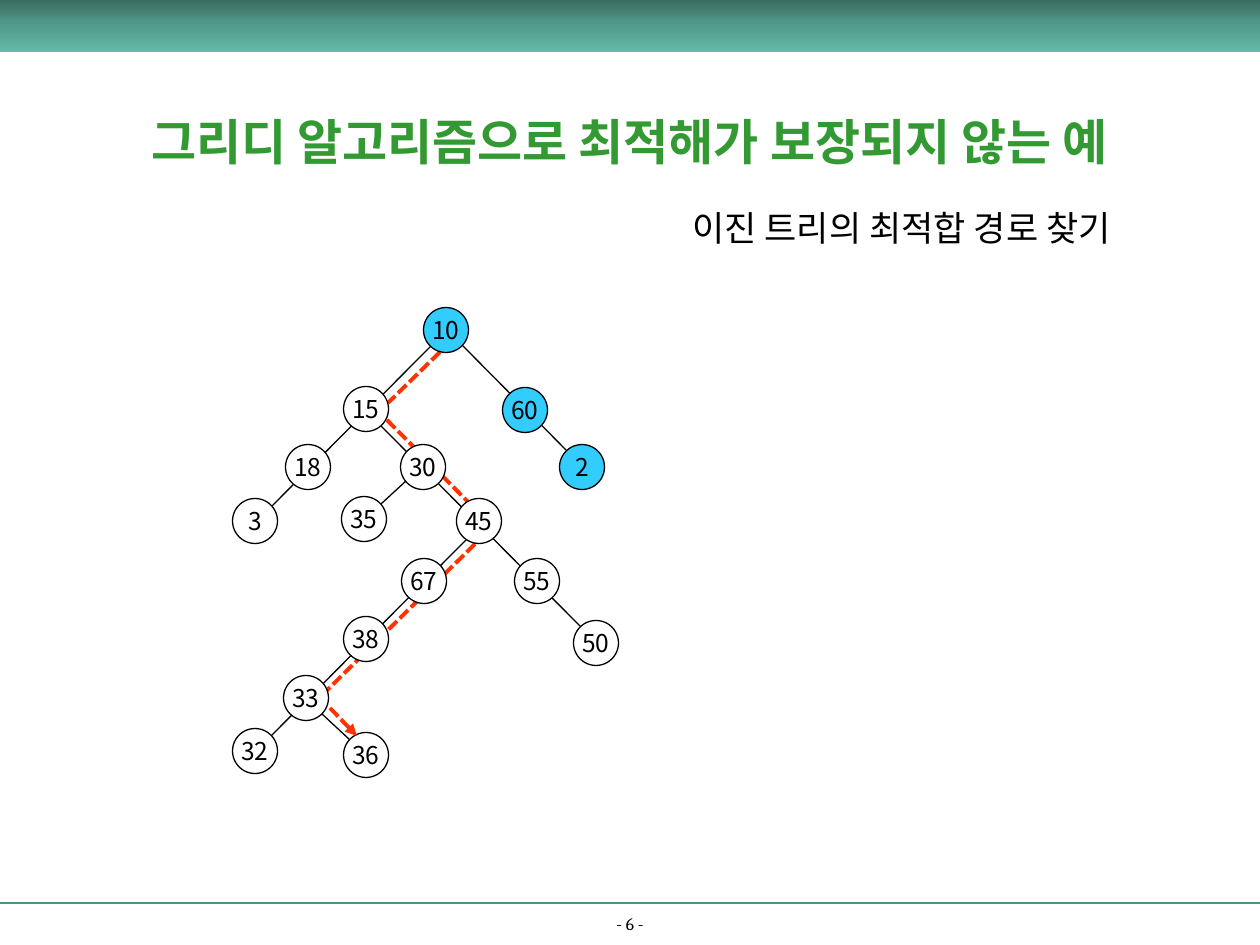
from copy import deepcopy
from dataclasses import dataclass
from typing import Any

from pptx import Presentation
from pptx.dml.color import RGBColor
from pptx.enum.dml import MSO_LINE
from pptx.enum.shapes import MSO_CONNECTOR, MSO_SHAPE
from pptx.enum.text import MSO_ANCHOR, PP_ALIGN
from pptx.oxml.ns import qn
from pptx.oxml.xmlchemy import OxmlElement
from pptx.util import Emu, Pt


@dataclass(frozen=True)
class Theme:
    serif: str = "Cambria"
    sans: str = "Noto Sans CJK KR"
    ink: str = "000000"
    white: str = "FFFFFF"
    title: str = "339933"
    rule: str = "4C9282"
    best: str = "33CCFF"
    path_ink: str = "FF3300"
    band: tuple = ((0, "3A6D62"), (0.5, "539C8B"), (1, "62B9A5"))
    title_size: int = 28
    sub_size: int = 20
    node_size: int = 14
    foot_size: int = 10
    thin: float = 0.75
    mid: float = 1.5
    thick: float = 2.25


@dataclass(frozen=True)
class Node:
    label: str
    x: int
    y: int
    best: bool = False


@dataclass(frozen=True)
class Line:
    x1: int
    y1: int
    x2: int
    y2: int


THEME = Theme()
DPI = 126
WIDE, HIGH = 1260, 945
SIDE = 45  # node diameter

# Node centres
NODES = [
    Node("10", 446, 330, True),
    Node("15", 366, 409), Node("60", 525, 410, True),
    Node("18", 308, 467), Node("30", 423, 467), Node("2", 582, 467, True),
    Node("3", 255, 521), Node("35", 364, 519), Node("45", 479, 521),
    Node("67", 424, 581), Node("55", 537, 581),
    Node("38", 366, 639), Node("50", 596, 643),
    Node("33", 306, 698),
    Node("32", 255, 751), Node("36", 366, 755),
]

# Straight branches, each running behind the nodes on it
EDGES = [
    Line(381, 426, 581, 627), Line(431, 346, 271, 507),
    Line(462, 345, 567, 451), Line(467, 539, 271, 736),
    Line(321, 713, 350, 740), Line(406, 481, 381, 504),
]

# Greedy path, and its last step with the arrowhead
GREEDY = [
    Line(475, 544, 304, 713), Line(387, 420, 479, 513),
    Line(440, 352, 388, 403),
]
LAST = Line(330, 708, 357, 736)


def px(n: float) -> Emu:
    return Emu(round(n * 914400 / DPI))


def rgb(code: str) -> RGBColor:
    return RGBColor.from_string(code)


def write(shape: Any, text: str, size: int, face: str, ink: str,
          align: Any = PP_ALIGN.CENTER, bold: bool = False) -> Any:
    para = shape.text_frame.paragraphs[0]
    para.text = text
    para.alignment = align
    font = para.font
    font.size, font.name, font.bold = Pt(size), face, bold
    font.color.rgb = rgb(ink)
    return para


def add_text(shapes: Any, box: tuple, text: str, size: int, ink: str,
             anchor: Any, wrap: bool = True, **style: Any) -> Any:
    shape = shapes.add_textbox(*map(px, box))
    shape.text_frame.word_wrap = wrap
    shape.text_frame.vertical_anchor = anchor
    return write(shape, text, size, THEME.serif, ink, **style)


def tighten(para: Any, size: int) -> None:
    para.line_spacing = 0.8
    para.space_before = Pt(size * 0.2)


def add_line(shapes: Any, line: Line, ink: str, width: float,
             dash: bool = False, arrow: bool = False) -> None:
    ends = map(px, (line.x1, line.y1, line.x2, line.y2))
    link = shapes.add_connector(MSO_CONNECTOR.STRAIGHT, *ends)
    link.line.color.rgb = rgb(ink)
    link.line.width = Pt(width)
    if dash:
        link.line.dash_style = MSO_LINE.SQUARE_DOT
    props = link._element.spPr
    if arrow:
        tail = OxmlElement("a:tailEnd")
        tail.set("type", "triangle")
        props.find(qn("a:ln")).append(tail)
    props.append(OxmlElement("a:effectLst"))


def add_node(shapes: Any, node: Node) -> None:
    left, top = node.x - SIDE / 2, node.y - SIDE / 2
    disc = shapes.add_shape(MSO_SHAPE.OVAL, *map(px, (left, top, SIDE, SIDE)))
    disc.shadow.inherit = False
    disc.fill.solid()
    disc.fill.fore_color.rgb = rgb(THEME.best if node.best else THEME.white)
    disc.line.color.rgb = rgb(THEME.ink)
    disc.line.width = Pt(THEME.thin)
    frame = disc.text_frame
    frame.margin_left = frame.margin_right = 0
    frame.margin_top = frame.margin_bottom = 0
    frame.word_wrap = False
    frame.vertical_anchor = MSO_ANCHOR.MIDDLE
    write(disc, node.label, THEME.node_size, THEME.sans, THEME.ink)


def add_band(shapes: Any) -> None:
    band = shapes.add_shape(MSO_SHAPE.RECTANGLE, *map(px, (0, 0, WIDE, 52)))
    band.shadow.inherit = False
    band.line.fill.background()
    band.fill.gradient()
    band.fill.gradient_angle = 270
    stops = band._element.spPr.find(qn("a:gradFill")).find(qn("a:gsLst"))
    stops.append(deepcopy(stops[-1]))
    for stop, (place, ink) in zip(band.fill.gradient_stops, THEME.band):
        stop.position = place
        stop.color.rgb = rgb(ink)


def add_tree(shapes: Any) -> None:
    tree = shapes.add_group_shape().shapes
    for line in GREEDY:
        add_line(tree, line, THEME.path_ink, THEME.thick, dash=True)
    for line in EDGES:
        add_line(tree, line, THEME.ink, THEME.thin)
    for node in NODES:
        add_node(tree, node)
    add_line(tree, LAST, THEME.path_ink, THEME.thick, dash=True, arrow=True)


def main() -> None:
    deck = Presentation()
    deck.slide_width, deck.slide_height = px(WIDE), px(HIGH)
    shapes = deck.slides.add_slide(deck.slide_layouts[6]).shapes

    # Footer and top band
    add_line(shapes, Line(0, 903, WIDE, 903), THEME.rule, THEME.mid)
    foot = add_text(shapes, (0, 912, WIDE, 28), "- 6 -", THEME.foot_size,
                    THEME.ink, MSO_ANCHOR.BOTTOM)
    tighten(foot, THEME.foot_size)
    add_band(shapes)

    # Headings
    add_text(shapes, (94, 62, 1071, 157),
             "그리디 알고리즘으로 최적해가 보장되지 않는 예",
             THEME.title_size, THEME.title, MSO_ANCHOR.MIDDLE, bold=True)
    sub = add_text(shapes, (680, 208, 485, 47), "이진 트리의 최적합 경로 찾기",
                   THEME.sub_size, THEME.ink, MSO_ANCHOR.TOP, wrap=False,
                   align=PP_ALIGN.LEFT)
    tighten(sub, THEME.sub_size)

    # Binary tree
    add_tree(shapes)
    deck.save("out.pptx")


if __name__ == "__main__":
    main()
